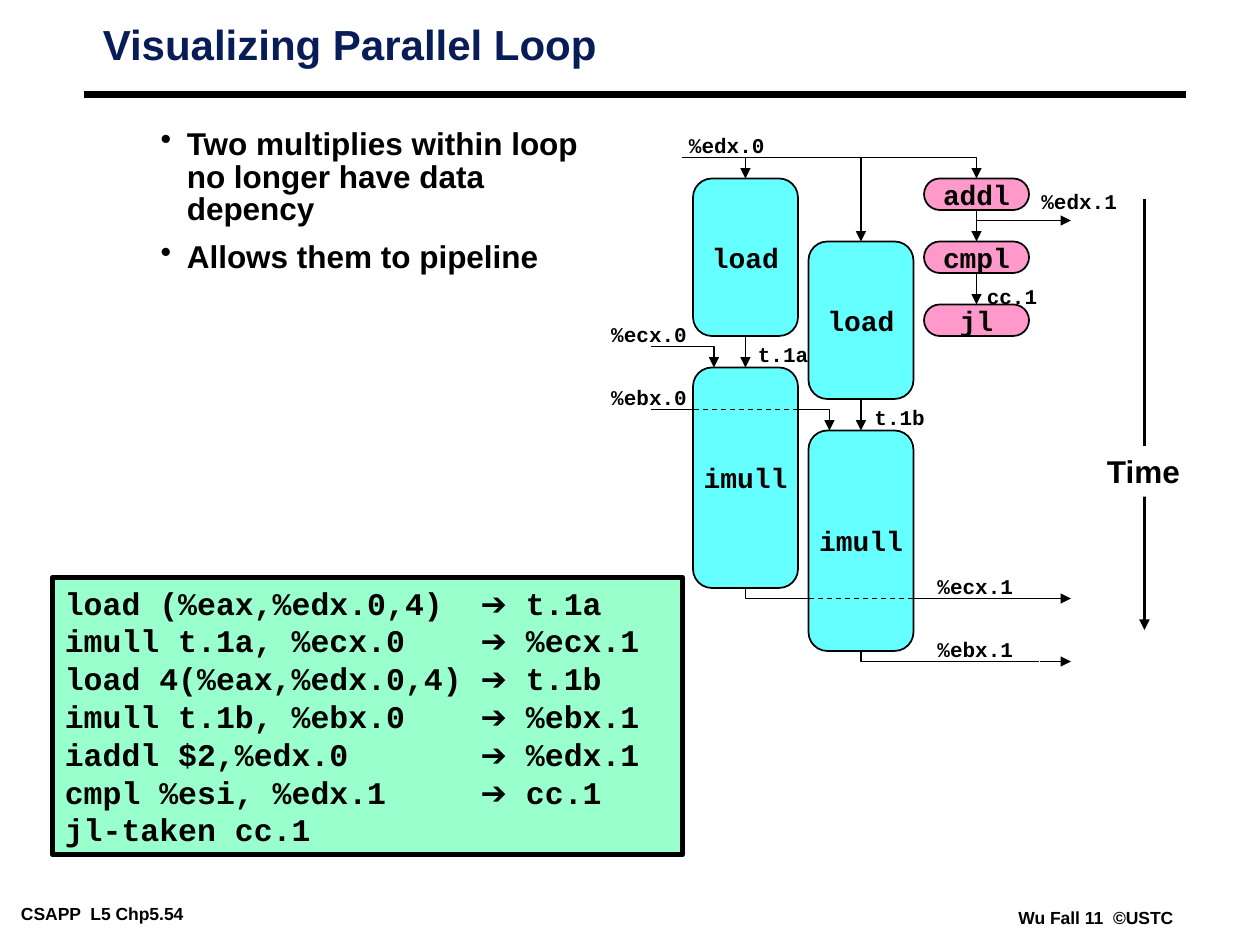
from dataclasses import dataclass
from lxml.etree import SubElement
from pptx import Presentation
from pptx.dml.color import RGBColor
from pptx.enum.dml import MSO_LINE
from pptx.enum.shapes import MSO_CONNECTOR, MSO_SHAPE
from pptx.enum.text import MSO_ANCHOR, PP_ALIGN
from pptx.oxml.ns import qn
from pptx.util import Emu, Pt

SCALE = 7620  # EMU in one px, 120 px to the inch
SANS, MONO = "Arial", "Courier New"
BLACK, NAVY, WHITE = "000000", "081D58", "FFFFFF"
CYAN, PINK, MINT = "66FFFF", "FF99CC", "99FFCC"
LEFT, MID, RIGHT = PP_ALIGN.LEFT, PP_ALIGN.CENTER, PP_ALIGN.RIGHT
TOP, BOTTOM = 0, 2  # connection sites


@dataclass
class Unit:
    name: str
    x: int
    y: int
    high: int
    fill: str = CYAN
    bend: float = 0.18


@dataclass
class Label:
    text: str
    x: int
    y: int
    wide: int = 96
    align: PP_ALIGN = LEFT


@dataclass
class Wire:
    pts: list
    head: bool = False


def px(n: int) -> Emu:
    return Emu(n * SCALE)


def tint(code: str) -> RGBColor:
    return RGBColor.from_string(code)


def add_run(para, text: str, size: int, font: str = SANS, color: str = BLACK) -> None:
    run = para.add_run()
    run.text = text
    run.font.size, run.font.name, run.font.bold = Pt(size), font, True
    run.font.color.rgb = tint(color)


def set_frame(shape, pad: tuple = (12, 6), wrap: bool = True):
    frame = shape.text_frame
    frame.word_wrap = wrap
    frame.margin_left = frame.margin_right = px(pad[0])
    frame.margin_top = frame.margin_bottom = px(pad[1])
    frame.vertical_anchor = MSO_ANCHOR.TOP
    return frame


def add_text(x: int, y: int, w: int, h: int, pad: tuple = (8, 4), wrap: bool = True):
    return set_frame(slide.shapes.add_textbox(px(x), px(y), px(w), px(h)), pad, wrap)


def add_box(kind, x: int, y: int, w: int, h: int, fill: str, line: float):
    box = slide.shapes.add_shape(kind, px(x), px(y), px(w), px(h))
    box.shadow.inherit = False
    box.fill.solid()
    box.fill.fore_color.rgb = tint(fill)
    if line:
        set_line(box, line)
    else:
        box.line.fill.background()
    return box


def set_line(shape, width: float, head: bool = False, dash: bool = False) -> None:
    shape.line.color.rgb = tint(BLACK)
    shape.line.width = Pt(width)
    if dash:
        shape.line.dash_style = MSO_LINE.DASH
    if head:
        SubElement(shape.line._get_or_add_ln(), qn("a:tailEnd"), type="triangle")


def add_line(a: tuple, b: tuple, width: float = 0.75, head: bool = False, dash: bool = False):
    line = slide.shapes.add_connector(
        MSO_CONNECTOR.STRAIGHT, px(a[0]), px(a[1]), px(b[0]), px(b[1]))
    set_line(line, width, head, dash)
    SubElement(line._element.spPr, qn("a:effectLst"))
    return line


def add_wire(wire: Wire) -> None:
    if len(wire.pts) == 2:
        add_line(*wire.pts, head=wire.head)
        return
    path = slide.shapes.build_freeform(*wire.pts[0], scale=SCALE)
    path.add_line_segments(wire.pts[1:], close=False)
    shape = path.convert_to_shape()
    shape.shadow.inherit = False
    shape.fill.background()
    set_line(shape, 0.75, wire.head)


def add_label(label: Label) -> None:
    para = add_text(label.x, label.y, label.wide, 36, (12, 6), False).paragraphs[0]
    para.alignment = label.align
    add_run(para, label.text, 12, MONO)


def add_unit(unit: Unit):
    box = add_box(MSO_SHAPE.ROUNDED_RECTANGLE, unit.x, unit.y, 100, unit.high, unit.fill, 1)
    box.adjustments[0] = unit.bend
    frame = set_frame(box, wrap=False)
    frame.vertical_anchor = MSO_ANCHOR.MIDDLE
    frame.paragraphs[0].alignment = MID
    add_run(frame.paragraphs[0], unit.name, 16, MONO)
    return box


deck = Presentation()
deck.slide_width, deck.slide_height = px(1200), px(900)
slide = deck.slides.add_slide(deck.slide_layouts[6])

# Footers, rule and title
for note, x, y, w in (("CSAPP  L5 Chp5.54", 12, 856, 234), ("Wu Fall 11  ©USTC", 962, 860, 166)):
    add_run(add_text(x, y, w, 26).paragraphs[0], note, 10)
add_line((80, 90), (1130, 90), 4.5)
title = add_text(90, 20, 871, 76).paragraphs[0]
title.line_spacing = 0.87
add_run(title, "Visualizing Parallel Loop", 24, color=NAVY)

# Bullets
body = add_text(80, 120, 480, 331)
points = ("Two multiplies within loop no longer have data depency", "Allows them to pipeline")
for i, point in enumerate(points):
    para = body.add_paragraph() if i else body.paragraphs[0]
    props = para._p.get_or_add_pPr()
    props.set("marL", str(px(90)))
    props.set("indent", str(px(-25)))
    SubElement(props, qn("a:buChar"), char="•")
    para.line_spacing = 0.85
    para.space_before = Pt(9 if i else 0)
    add_run(para, point, 18)

# Code, with the results at one tab stop
code = set_frame(add_box(MSO_SHAPE.RECTANGLE, 50, 550, 600, 264, MINT, 3))
steps = (("load (%eax,%edx.0,4)", "t.1a"), ("imull t.1a, %ecx.0", "%ecx.1"),
         ("load 4(%eax,%edx.0,4)", "t.1b"), ("imull t.1b, %ebx.0", "%ebx.1"),
         ("iaddl $2,%edx.0", "%edx.1"), ("cmpl %esi, %edx.1", "cc.1"), ("jl-taken cc.1", ""))
for i, (step, result) in enumerate(steps):
    para = code.add_paragraph() if i else code.paragraphs[0]
    para.alignment = LEFT
    tabs = SubElement(para._p.get_or_add_pPr(), qn("a:tabLst"))
    SubElement(tabs, qn("a:tab"), pos=str(px(396)), algn="l")
    add_run(para, step + ("\t" if result else ""), 18, MONO)
    if result:
        add_run(para, "➔", 18)
        add_run(para, " " + result, 18, MONO)

# Time axis
add_line((1090, 190), (1090, 600), 2, head=True)
time = set_frame(add_box(MSO_SHAPE.RECTANGLE, 1038, 425, 102, 48, WHITE, 0)).paragraphs[0]
time.alignment = MID
add_run(time, "Time", 18)

# Register labels
for label in (Label("%edx.0", 644, 120, align=RIGHT), Label("%ecx.0", 570, 300, align=RIGHT),
              Label("%ebx.0", 570, 360, align=RIGHT), Label("%edx.1", 980, 174),
              Label("%ecx.1", 881, 540), Label("%ebx.1", 881, 600),
              Label("t.1a", 710, 319, 72), Label("t.1b", 821, 379, 72), Label("cc.1", 928, 264, 72)):
    add_label(label)

# Wires behind the units
wires = [Wire([(650, 150), (930, 150), (930, 170)], True),
         Wire([(650, 330), (680, 330), (680, 350)], True),
         Wire([(650, 390), (790, 390), (790, 410)], True),
         Wire([(710, 560), (710, 570), (990, 570)]),
         Wire([(820, 620), (820, 630), (990, 630)]),
         Wire([(930, 210), (990, 210)])]
wires += [Wire([(650, y), (620, y)]) for y in (330, 390)]
wires += [Wire([(990, y), (1020, y)], True) for y in (210, 570, 630)]
for wire in wires:
    add_wire(wire)

# Units, one chain to a column
chains = ([Unit("load", 660, 170, 150), Unit("imull", 660, 350, 210)],
          [Unit("load", 770, 230, 150), Unit("imull", 770, 410, 210)],
          [Unit(name, 880, 170 + 60 * i, 30, PINK, 0.5)
           for i, name in enumerate(("addl", "cmpl", "jl"))])
for chain in chains:
    boxes = [add_unit(unit) for unit in chain]
    mid = chain[0].x + 50
    if chain[0].fill == CYAN:
        add_line((mid, 150), (mid, chain[0].y), head=True).end_connect(boxes[0], TOP)
    for i in range(len(chain) - 1):
        up, down = chain[i], chain[i + 1]
        link = add_line((mid, up.y + up.high), (mid, down.y), head=True)
        link.begin_connect(boxes[i], BOTTOM)
        link.end_connect(boxes[i + 1], TOP)

# Dashes where wires pass behind
for x, y in ((660, 390), (770, 570)):
    add_line((x + 100, y), (x, y), dash=True)

deck.save("out.pptx")
